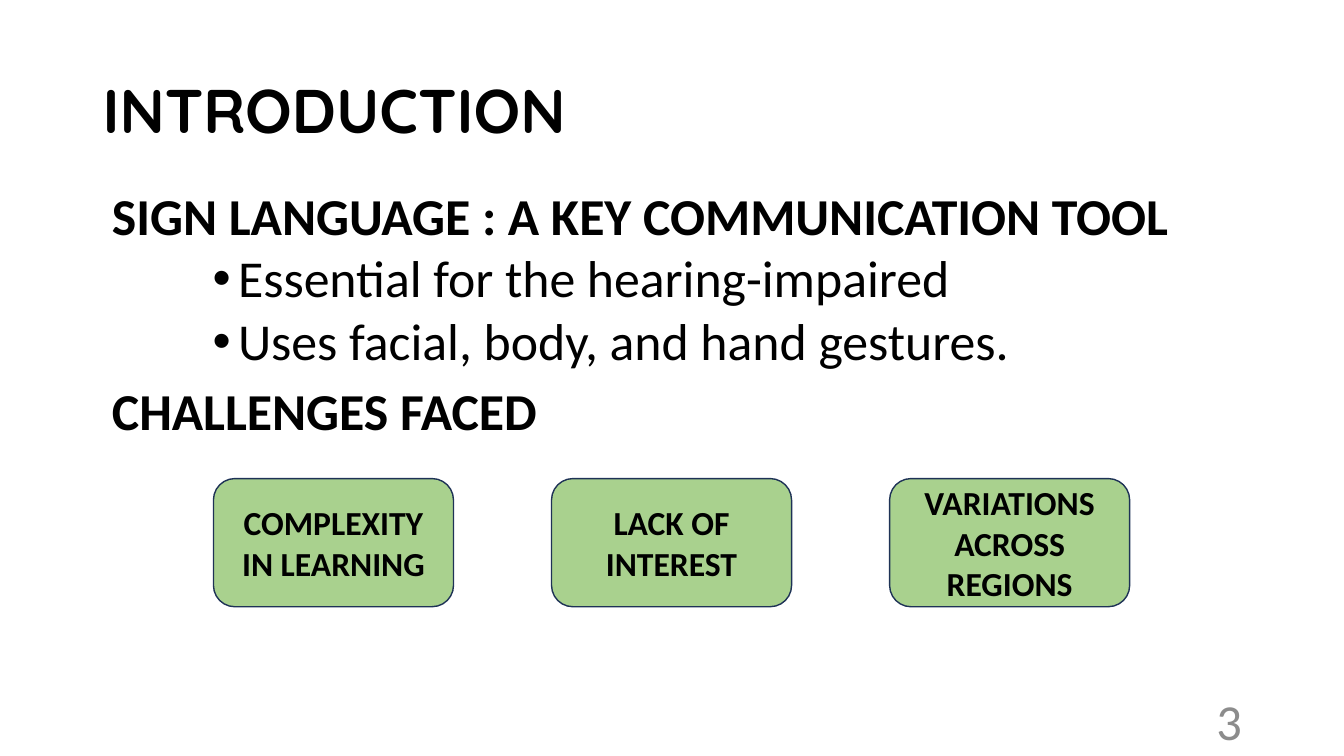
from dataclasses import dataclass

from lxml import etree
from pptx import Presentation
from pptx.dml.color import RGBColor
from pptx.enum.shapes import MSO_SHAPE
from pptx.enum.text import MSO_ANCHOR, PP_ALIGN
from pptx.oxml.ns import qn
from pptx.util import Cm, Pt

ROUNDED = MSO_SHAPE.ROUNDED_RECTANGLE
TOP, MIDDLE = MSO_ANCHOR.TOP, MSO_ANCHOR.MIDDLE
LEFT, CENTER, RIGHT = PP_ALIGN.LEFT, PP_ALIGN.CENTER, PP_ALIGN.RIGHT


@dataclass(frozen=True)
class Theme:
    ink: RGBColor = RGBColor(0x00, 0x00, 0x00)
    muted: RGBColor = RGBColor(0x8C, 0x8C, 0x8C)
    card_fill: RGBColor = RGBColor(0xA9, 0xD1, 0x8E)
    card_line: RGBColor = RGBColor(0x1E, 0x32, 0x56)
    heading_font: str = "Quicksand"
    text_font: str = "Calibri"
    title_size: Pt = Pt(44)
    body_size: Pt = Pt(37)
    card_size: Pt = Pt(24)
    number_size: Pt = Pt(36)


THEME = Theme()

OUTLINE = [
    ("SIGN LANGUAGE : A KEY COMMUNICATION TOOL", [
        "Essential for the hearing-impaired",
        "Uses facial, body, and hand gestures.",
    ]),
    ("CHALLENGES FACED", []),
]
CHALLENGES = [
    "COMPLEXITY IN LEARNING",
    "LACK OF INTEREST",
    "VARIATIONS ACROSS REGIONS",
]
CARD_LEFT, CARD_TOP, CARD_STEP = 5.38, 12.06, 8.52
CARD_WIDTH, CARD_HEIGHT = 6.05, 3.23


def apply(target, values):
    for name, value in values.items():
        setattr(target, name, value)


def write(paragraph, text, size, bold=True, color=THEME.ink,
          font=THEME.text_font, **layout):
    """Fill a paragraph with one formatted run."""
    run = paragraph.add_run()
    run.text = text
    apply(run.font, {"name": font, "size": size, "bold": bold})
    run.font.color.rgb = color
    apply(paragraph, layout)


def add_text_frame(slide, left, top, width, height, anchor):
    box = slide.shapes.add_textbox(Cm(left), Cm(top), Cm(width), Cm(height))
    apply(box.text_frame, {"word_wrap": True, "vertical_anchor": anchor})
    return box.text_frame


def add_bullet(paragraph):
    properties = paragraph._p.get_or_add_pPr()
    properties.set("marL", str(Cm(3.18)))
    properties.set("indent", str(-Cm(0.64)))
    etree.SubElement(properties, qn("a:buFont")).set("typeface", "Arial")
    etree.SubElement(properties, qn("a:buChar")).set("char", "•")


def add_outline(frame):
    """Write bold headings, each followed by its bulleted points."""
    entries = [(text, is_point)
               for heading, points in OUTLINE
               for text, is_point in [(heading, False)] + [(p, True) for p in points]]
    for index, (text, is_point) in enumerate(entries):
        paragraph = frame.add_paragraph() if index else frame.paragraphs[0]
        write(paragraph, text, THEME.body_size, bold=not is_point,
              alignment=LEFT, line_spacing=0.9,
              space_before=Pt(5 if is_point else 10),
              level=2 if is_point else 0)
        if is_point:
            add_bullet(paragraph)


def add_card(slide, left, text):
    card = slide.shapes.add_shape(ROUNDED, Cm(left), Cm(CARD_TOP),
                                  Cm(CARD_WIDTH), Cm(CARD_HEIGHT))
    card.shadow.inherit = False
    card.fill.solid()
    card.fill.fore_color.rgb = THEME.card_fill
    card.line.color.rgb = THEME.card_line
    card.line.width = Pt(1)
    apply(card.text_frame, {"word_wrap": True, "vertical_anchor": MIDDLE})
    write(card.text_frame.paragraphs[0], text, THEME.card_size, alignment=CENTER)


def main():
    deck = Presentation()
    apply(deck, {"slide_width": Cm(33.87), "slide_height": Cm(19.05)})
    slide = deck.slides.add_slide(deck.slide_layouts[6])

    # Title
    title = add_text_frame(slide, 2.34, 1.02, 29.21, 3.68, MIDDLE)
    write(title.paragraphs[0], "INTRODUCTION", THEME.title_size,
          font=THEME.heading_font, alignment=LEFT, line_spacing=0.9)

    # Headings and points
    add_outline(add_text_frame(slide, 2.57, 4.67, 29.21, 11.99, TOP))

    # Challenge cards
    for column, challenge in enumerate(CHALLENGES):
        add_card(slide, CARD_LEFT + column * CARD_STEP, challenge)

    # Slide number
    number = add_text_frame(slide, 23.93, 17.65, 7.62, 1.02, MIDDLE)
    write(number.paragraphs[0], "3", THEME.number_size, bold=False,
          color=THEME.muted, alignment=RIGHT)

    deck.save("out.pptx")


if __name__ == "__main__":
    main()
